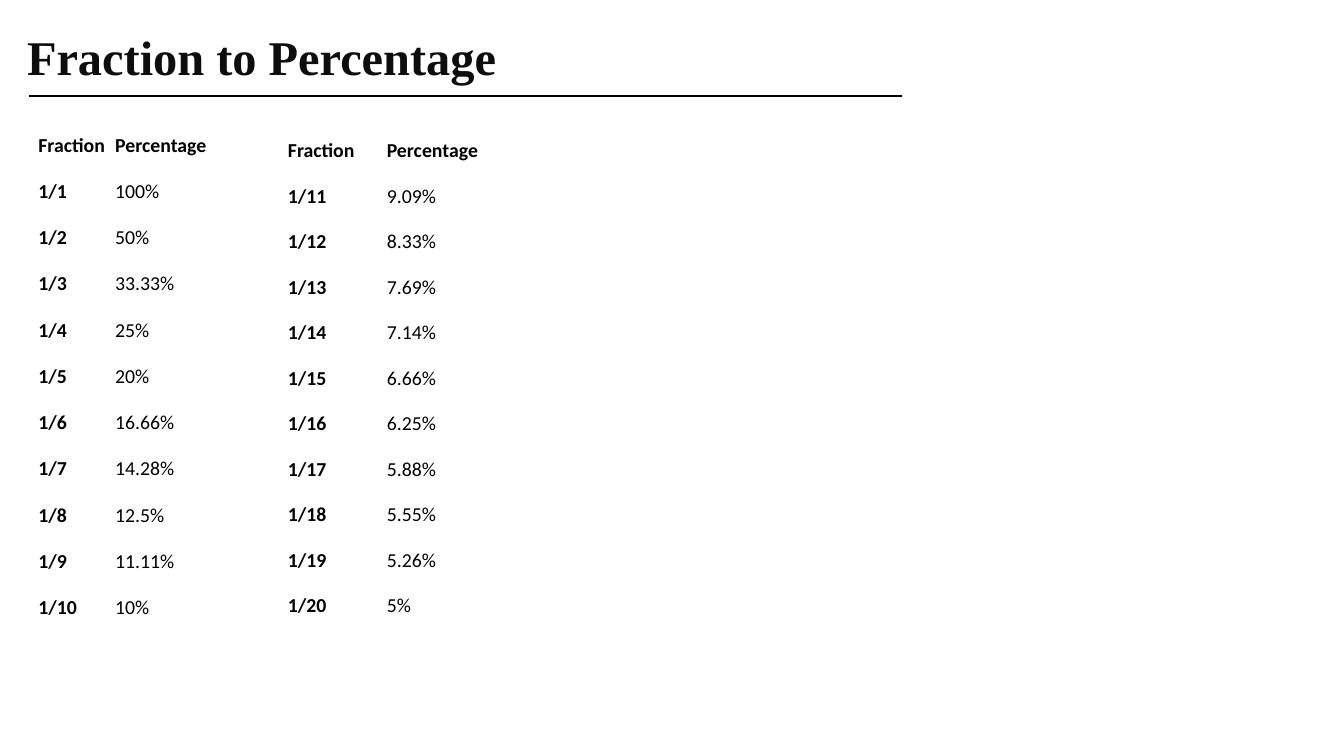
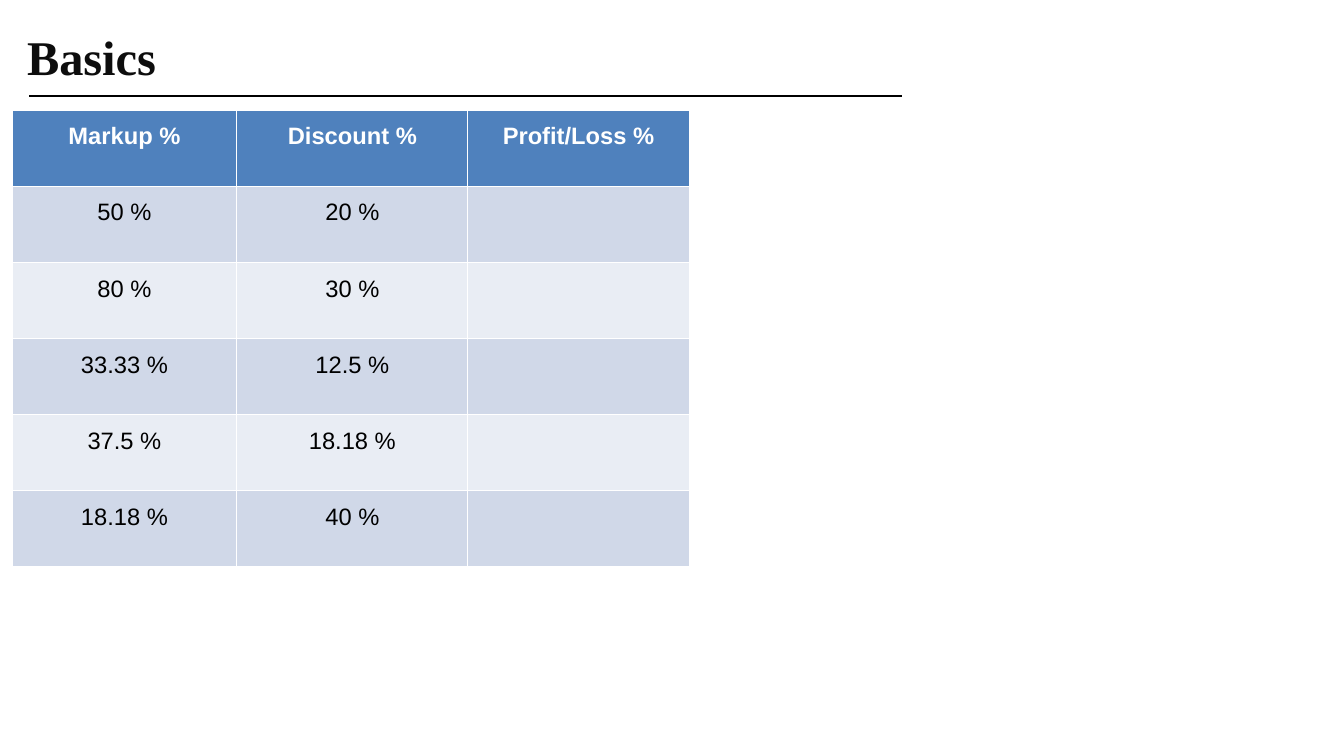
from lxml import etree
from pptx import Presentation
from pptx.dml.color import RGBColor
from pptx.enum.shapes import MSO_CONNECTOR
from pptx.enum.text import MSO_ANCHOR, PP_ALIGN
from pptx.oxml.ns import qn
from pptx.util import Inches, Pt

LEFT, CENTER = PP_ALIGN.LEFT, PP_ALIGN.CENTER
TOP, MIDDLE = MSO_ANCHOR.TOP, MSO_ANCHOR.MIDDLE
STRAIGHT = MSO_CONNECTOR.STRAIGHT
BLACK, WHITE, TITLE_COLOR = "000000", "FFFFFF", "0D0D0D"
HEADER_FILL, BAND_FILLS = "4F81BD", ("E9EDF4", "D0D8E8")
PLAIN_TABLE_STYLE = "{2D5ABB26-0587-4C30-8999-92F81FD0307C}"


def rgb(color):
    return RGBColor.from_string(color)


def add_grid(s, rows, left, top, widths, row_height):
    """Add a table with the given rows of text and return its frame."""
    frame = s.shapes.add_table(
        len(rows), len(widths), Inches(left), Inches(top),
        Inches(sum(widths)), Inches(row_height * len(rows)))
    table = frame.table
    for col, width in zip(table.columns, widths):
        col.width = Inches(width)
    for i, row in enumerate(rows):
        table.rows[i].height = Inches(row_height)
        for j, text in enumerate(row):
            cell = table.cell(i, j)
            cell.text_frame.text = text
            cell.margin_left = cell.margin_right = Inches(0.07)
    return frame


prs = Presentation()
prs.slide_width, prs.slide_height = Inches(18.9), Inches(10.63)

# Title and rule shared by both slides
for title in ("Fraction to Percentage", "Basics"):
    s = prs.slides.add_slide(prs.slide_layouts[5])
    sp = s.shapes.title
    sp.left, sp.top, sp.width, sp.height = (
        Inches(v) for v in (0.28, 0.32, 11.25, 0.93))
    tf = sp.text_frame
    tf.text = title
    tf.vertical_anchor = MIDDLE
    p = tf.paragraphs[0]
    p.alignment = LEFT
    font = p.runs[0].font
    font.name, font.size, font.bold = "Times New Roman", Pt(49), True
    font.color.rgb = rgb(TITLE_COLOR)

    rule = s.shapes.add_connector(
        STRAIGHT, Inches(0.41), Inches(1.35), Inches(12.68), Inches(1.35))
    rule.line.color.rgb = rgb(BLACK)
    rule.line.width = Pt(1.5)
    etree.SubElement(rule.element.spPr, qn("a:effectLst"))

fraction_slide, basics_slide = prs.slides

# Fraction tables
percentages = [
    "100%", "50%", "33.33%", "25%", "20%",
    "16.66%", "14.28%", "12.5%", "11.11%", "10%",
    "9.09%", "8.33%", "7.69%", "7.14%", "6.66%",
    "6.25%", "5.88%", "5.55%", "5.26%", "5%",
]
fractions = [(f"1/{n}", pct) for n, pct in enumerate(percentages, 1)]
for part, left, top, widths, row_height in (
        (fractions[:10], 0.47, 1.72, (1.08, 3.99), 0.65),
        (fractions[10:], 3.98, 1.8, (1.39, 3.69), 0.64)):
    rows = [("Fraction", "Percentage")] + part
    frame = add_grid(fraction_slide, rows, left, top, widths, row_height)
    frame.element.find(".//" + qn("a:tableStyleId")).text = PLAIN_TABLE_STYLE
    for i in range(len(rows)):
        for j in range(len(widths)):
            cell = frame.table.cell(i, j)
            cell.fill.background()
            cell.vertical_anchor = MIDDLE
            cell.margin_top = cell.margin_bottom = Inches(0.03)
            font = cell.text_frame.paragraphs[0].runs[0].font
            font.name, font.size = "Calibri", Pt(20)
            font.bold = i == 0 or j == 0
            font.color.rgb = rgb(BLACK)

# Markup and discount table
rows = [
    ("Markup %", "Discount %", "Profit/Loss %"),
    ("50 %", "20 %", ""),
    ("80 %", "30 %", ""),
    ("33.33 %", "12.5 %", ""),
    ("37.5 %", "18.18 %", ""),
    ("18.18 %", "40 %", ""),
]
frame = add_grid(basics_slide, rows, 0.17, 1.55, (3.16, 3.25, 3.11), 1.07)
for i, row in enumerate(rows):
    for j in range(len(row)):
        cell = frame.table.cell(i, j)
        cell.fill.solid()
        cell.fill.fore_color.rgb = rgb(BAND_FILLS[i % 2] if i else HEADER_FILL)
        cell.vertical_anchor = TOP
        cell.margin_top = cell.margin_bottom = 0
        p = cell.text_frame.paragraphs[0]
        p.alignment = CENTER
        p.line_spacing = 1.5
        p.space_after = Pt(6)
        for r in p.runs:
            r.font.name, r.font.size, r.font.bold = "Arial", Pt(24), i == 0
            r.font.color.rgb = rgb(BLACK if i else WHITE)

prs.save("out.pptx")
